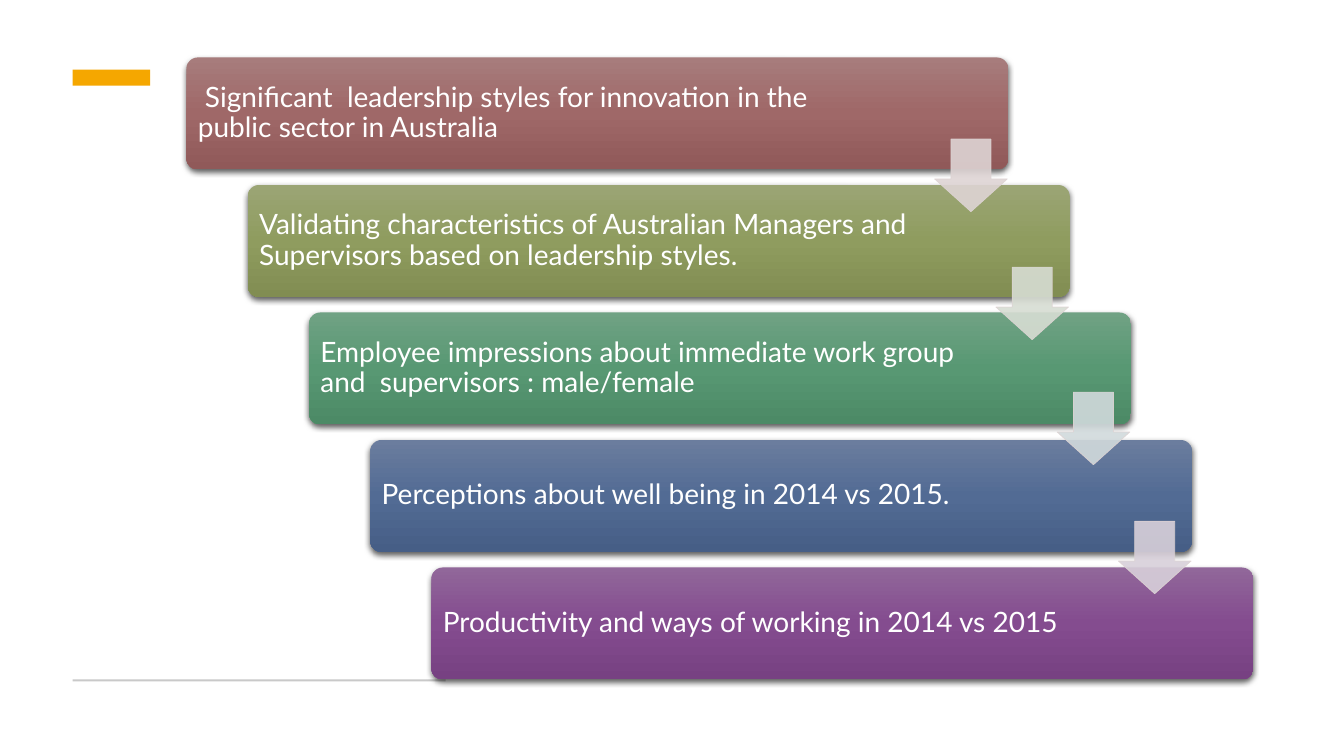
import copy
from dataclasses import dataclass

import pptx
import pptx.dml.color
import pptx.enum.shapes
import pptx.enum.text
import pptx.oxml
import pptx.oxml.ns
import pptx.util
from pptx.util import Inches

STEPS = [
    (" Significant  leadership styles for innovation in the public sector in Australia",
     ("A77C7C", "9F6868", "905959")),
    ("Validating characteristics of Australian Managers and Supervisors based on leadership styles.",
     ("9BA575", "8F9C5F", "818D52")),
    ("Employee impressions about immediate work group and  supervisors : male/female",
     ("70A284", "589873", "4C8A66")),
    ("Perceptions about well being in 2014 vs 2015.",
     ("6B7D9E", "526B94", "465E86")),
    ("Productivity and ways of working in 2014 vs 2015",
     ("91679A", "844C8F", "774182")),
]
ARROWS = [(1.38, "DED4D4"), (2.65, "D7DDD3"), (3.89, "D1DADC"), (5.17, "D8D0DA")]
ACCENTS = [((0.72, 0.69, 0.77, 0.16), "F5A700"), ((0.72, 6.74, 3.7, 0.02), "C9C9C9")]

STEP_LEFT, STEP_TOP = 1.85, 0.57
STEP_RIGHTWARD, STEP_DOWNWARD = 0.6075, 1.265
STEP_WIDTH, STEP_HEIGHT = 8.15, 1.11
ARROW_SIZE, ARROW_INDENT = 0.72, 7.42
TEXT_MARGIN, TEXT_RIGHT_MARGIN = 0.08, 1.42


@dataclass(frozen=True)
class Theme:
    font: str = "Lato"
    size: int = 20
    text: str = "FFFFFF"
    arrow_line: str = "DED4D4"
    arrow_opacity: int = 90000


THEME = Theme()
SHAPES = pptx.enum.shapes.MSO_SHAPE
SHADOW = (
    f'<a:outerShdw {pptx.oxml.ns.nsdecls("a")} blurRad="57150" dist="19050" dir="5400000" '
    'algn="ctr" rotWithShape="0"><a:srgbClr val="000000"><a:alpha val="63000"/>'
    '</a:srgbClr></a:outerShdw>'
)


def rgb(value):
    return pptx.dml.color.RGBColor.from_string(value)


def add_plain_shape(page, kind, area, adjustments=()):
    shape = page.shapes.add_shape(kind, *map(Inches, area))
    shape.shadow.inherit = False
    shape.line.fill.background()
    for index, value in enumerate(adjustments):
        shape.adjustments[index] = value
    return shape


def add_accent(page, area, color):
    bar = add_plain_shape(page, SHAPES.RECTANGLE, area)
    bar.fill.solid()
    bar.fill.fore_color.rgb = rgb(color)


def fill_gradient(shape, colors):
    shape.fill.gradient()
    shape.fill.gradient_angle = 270
    stops = shape.element.spPr.find(".//" + pptx.oxml.ns.qn("a:gsLst"))
    stops.append(copy.deepcopy(stops[0]))
    for stop, color, position in zip(shape.fill.gradient_stops, colors, (0, 0.5, 1)):
        stop.color.rgb = rgb(color)
        stop.position = position


def add_step(page, left, top, text, colors):
    box = add_plain_shape(page, SHAPES.ROUNDED_RECTANGLE,
                          (left, top, STEP_WIDTH, STEP_HEIGHT), (0.1,))
    fill_gradient(box, colors)
    effects = box.element.spPr.find(pptx.oxml.ns.qn("a:effectLst"))
    effects.append(pptx.oxml.parse_xml(SHADOW))
    frame = box.text_frame
    frame.text = text
    frame.word_wrap = True
    frame.vertical_anchor = pptx.enum.text.MSO_ANCHOR.MIDDLE
    frame.margin_left = frame.margin_top = frame.margin_bottom = Inches(TEXT_MARGIN)
    frame.margin_right = Inches(TEXT_RIGHT_MARGIN)
    para = frame.paragraphs[0]
    para.alignment = pptx.enum.text.PP_ALIGN.LEFT
    para.line_spacing = 0.9
    font = para.runs[0].font
    font.name = THEME.font
    font.size = pptx.util.Pt(THEME.size)
    font.color.rgb = rgb(THEME.text)


def add_arrow(page, left, top, color):
    arrow = add_plain_shape(page, SHAPES.DOWN_ARROW,
                            (left, top, ARROW_SIZE, ARROW_SIZE), (0.55, 0.45))
    arrow.line.width = pptx.util.Pt(0.5)
    for fill, value in ((arrow.fill, color), (arrow.line.fill, THEME.arrow_line)):
        fill.solid()
        fill.fore_color.rgb = rgb(value)
    for node in arrow.element.spPr.iter(pptx.oxml.ns.qn("a:srgbClr")):
        alpha = pptx.oxml.parse_xml(
            f'<a:alpha {pptx.oxml.ns.nsdecls("a")} val="{THEME.arrow_opacity}"/>')
        node.append(alpha)


def main():
    """Build the slide of five cascading research steps."""
    deck = pptx.Presentation()
    deck.slide_width, deck.slide_height = Inches(13.33), Inches(7.5)
    page = deck.slides.add_slide(deck.slide_layouts[6])
    for area, color in ACCENTS:
        add_accent(page, area, color)
    lefts = [STEP_LEFT + index * STEP_RIGHTWARD for index in range(len(STEPS))]
    for index, (text, colors) in enumerate(STEPS):
        add_step(page, lefts[index], STEP_TOP + index * STEP_DOWNWARD, text, colors)
    for left, (top, color) in zip(lefts, ARROWS):
        add_arrow(page, left + ARROW_INDENT, top, color)
    deck.save("out.pptx")


if __name__ == "__main__":
    main()
